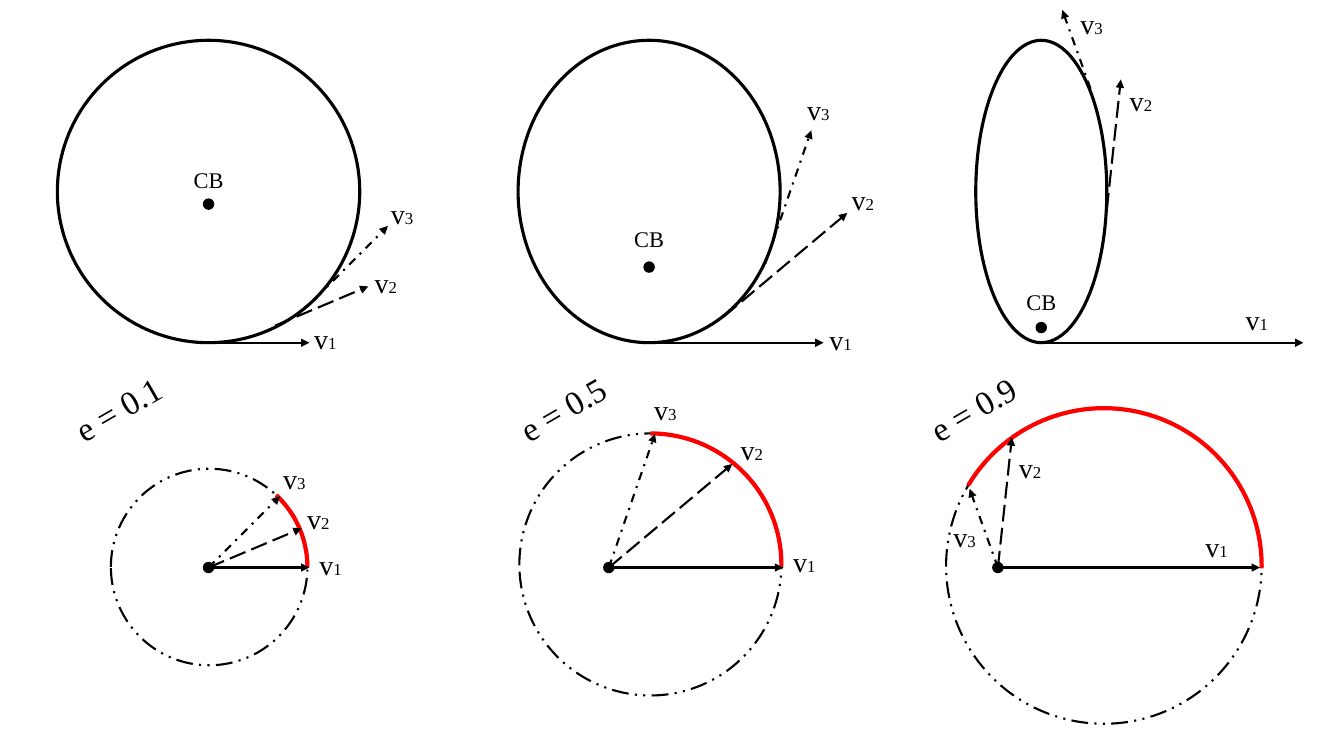
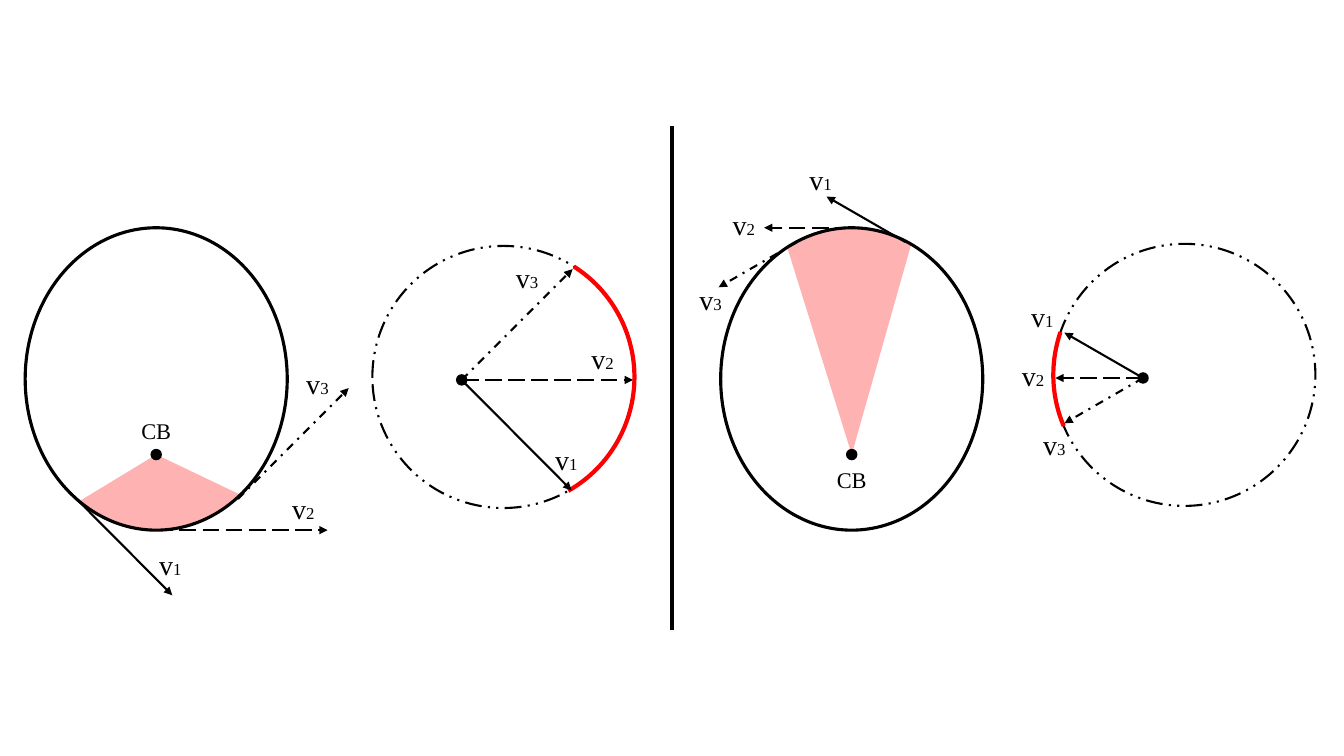
import math
from dataclasses import dataclass
from typing import Optional

from lxml import etree
from pptx import Presentation
from pptx.dml import color
from pptx.enum import dml, shapes, text
from pptx.oxml import ns
from pptx.util import Pt

FONT = "Times New Roman"
BLACK, RED = "000000", "FF0000"
THIN, ORBIT_WIDTH, ARC_WIDTH = 1.5, 2.25, 3
ORBIT_HEIGHT = 216
DOT_SIZE = 7.2
VECTOR_DASHES = (None, dml.MSO_LINE.LONG_DASH, dml.MSO_LINE.DASH_DOT)


@dataclass
class Vector:
    shift: tuple
    tail: tuple
    orbit_label: tuple
    hodograph_label: tuple


@dataclass
class Study:
    orbit_center: tuple
    orbit_width: float
    focus_drop: float
    body_label_shift: float
    circle_center: tuple
    circle_size: float
    arc_angles: tuple
    origin: tuple
    vectors: tuple
    sector_angles: Optional[tuple] = None


ECCENTRICITIES = (
    Study((149, 136.8), 216, 9, -30.6, (149.4, 405), 140.4, (312.97, 0), (149, 405.4), (
        Vector((72, 0), (149, 244.8), (217.4, 226.1), (221, 387.4)),
        Vector((66.5, -28), (196.6, 232.6), (260.6, 185.8), (212.4, 355)),
        Vector((51, -51), (226.1, 212.4), (272.2, 136.8), (195.1, 326.2)))),
    Study((463.7, 136.8), 187.2, 54, -33.8, (464.6, 403.2), 187.2, (270, 1.34), (434.9, 405.4), (
        Vector((124.6, 0), (463.7, 244.8), (585.4, 226.8), (559.4, 385.2)),
        Vector((88.2, -74), (517, 226.1), (601.2, 126.7), (522, 305.3)),
        Vector((33, -95.5), (546.5, 188.6), (569.5, 62.6), (460.1, 276.5)))),
    Study((743.8, 136.8), 93.6, 97.2, -31.7, (788.5, 404.3), 225.4, (210.67, 0.86), (712.8, 405.4), (
        Vector((187.2, 0), (743.8, 244.8), (882.7, 212.4), (853.9, 374.4)),
        Vector((10, -93), (790.6, 149.8), (799.9, 56.2), (720.7, 318.2)),
        Vector((-20.2, -56.2), (779, 63.4), (764.6, 1.4), (673.9, 367.2)))),
)
CAPTIONS = (("e = 0.1", 84.2), ("e = 0.5", 401.8), ("e = 0.9", 694.8))

SECTORS = (
    Study((111.6, 270.7), 187.2, 54, -30.2, (359.6, 269.3), 187.2, (302.5, 60.34), (329.8, 271.4), (
        Vector((78.5, 78.9), (44.6, 346.3), (106.6, 387.4), (389.5, 312.5)),
        Vector((122.4, 0), (111.6, 378.7), (201.6, 347.8), (415.4, 240.5)),
        Vector((79.2, -79.2), (169.9, 356.4), (211.7, 258.5), (361.4, 182.2))), (50, 126)),
    Study((608.4, 270.7), 187.2, 54, 5, (846, 267.8), 187.2, (156.97, 199.03), (816.5, 270), (
        Vector((-56.2, -32.4), (646.6, 172.8), (571, 112.3), (729.4, 210.2)),
        Vector((-62.6, 0), (608.4, 162.7), (516.2, 144.7), (722.9, 252.7)),
        Vector((-56.2, 32.4), (569.5, 172.8), (492.5, 198), (738, 301.7))), (240.5, 297)),
)


def rgb(value):
    return color.RGBColor.from_string(value)


def style_line(line, tint, width, dash=None):
    line.color.rgb = rgb(tint)
    line.width = Pt(width)
    if dash is not None:
        line.dash_style = dash


def add_round(page, center, width, height, line_width, tint=BLACK, dash=None,
              kind=shapes.MSO_SHAPE.OVAL, filled=False):
    x, y = center
    shape = page.shapes.add_shape(kind, Pt(x - width / 2), Pt(y - height / 2), Pt(width), Pt(height))
    shape.shadow.inherit = False
    if filled:
        shape.fill.solid()
        shape.fill.fore_color.rgb = rgb(tint)
    else:
        shape.fill.background()
    style_line(shape.line, tint, line_width, dash)
    return shape


def add_dot(page, center):
    add_round(page, center, DOT_SIZE, DOT_SIZE, 1, filled=True)


def add_arc(page, center, size, angles):
    arc = add_round(page, center, size, size, ARC_WIDTH, RED, kind=shapes.MSO_SHAPE.ARC)
    for index, angle in enumerate(angles):
        arc.adjustments[index] = angle * 0.6


def add_line(page, start, end, width, dash=None, arrow=False):
    line = page.shapes.add_connector(
        shapes.MSO_CONNECTOR.STRAIGHT, *(Pt(value) for value in (*start, *end)))
    style_line(line.line, BLACK, width, dash)
    properties = line._element.spPr
    if arrow:
        etree.SubElement(properties.find(ns.qn("a:ln")), ns.qn("a:tailEnd"), type="triangle")
    etree.SubElement(properties, ns.qn("a:effectLst"))


def add_text(page, left, top, width, height, spans, centered=False, rotation=0):
    box = page.shapes.add_textbox(Pt(left), Pt(top), Pt(width), Pt(height))
    box.rotation = rotation
    frame = box.text_frame
    frame.word_wrap = True
    frame.auto_size = text.MSO_AUTO_SIZE.SHAPE_TO_FIT_TEXT
    para = frame.paragraphs[0]
    para.font.name = FONT
    para.font.color.rgb = rgb(BLACK)
    if centered:
        para.alignment = text.PP_ALIGN.CENTER
    for words, size in spans:
        span = para.add_run()
        span.text = words
        span.font.size = Pt(size)


def add_vector(page, number, tail, shift, label):
    head = (tail[0] + shift[0], tail[1] + shift[1])
    add_line(page, tail, head, THIN, VECTOR_DASHES[number - 1], arrow=True)
    add_text(page, *label, 72, 31.5, (("v", 20), (str(number), 12)))


def add_sector(page, focus, center, width, angles):
    first, last = angles
    steps = 24
    rim = []
    for step in range(steps + 1):
        angle = math.radians(first + (last - first) * step / steps)
        rim.append((Pt(center[0] + width / 2 * math.cos(angle)),
                    Pt(center[1] + ORBIT_HEIGHT / 2 * math.sin(angle))))
    builder = page.shapes.build_freeform(Pt(focus[0]), Pt(focus[1]))
    builder.add_line_segments(rim, close=True)
    sector = builder.convert_to_shape()
    sector.shadow.inherit = False
    sector.line.fill.background()
    sector.fill.solid()
    sector.fill.fore_color.rgb = rgb(RED)
    tint = sector._element.spPr.find(ns.qn("a:solidFill"))[0]
    etree.SubElement(tint, ns.qn("a:alpha"), val="30000")


def add_orbit(page, study):
    x, y = study.orbit_center
    focus = (x, y + study.focus_drop)
    if study.sector_angles:
        add_sector(page, focus, study.orbit_center, study.orbit_width, study.sector_angles)
    add_round(page, study.orbit_center, study.orbit_width, ORBIT_HEIGHT, ORBIT_WIDTH)
    add_dot(page, focus)
    add_text(page, x - 40, focus[1] + study.body_label_shift, 80, 26.6, (("CB", 16),), centered=True)
    for number, vector in enumerate(study.vectors, 1):
        add_vector(page, number, vector.tail, vector.shift, vector.orbit_label)


def add_hodograph(page, study):
    add_round(page, study.circle_center, study.circle_size, study.circle_size, THIN,
              dash=dml.MSO_LINE.DASH_DOT_DOT)
    add_arc(page, study.circle_center, study.circle_size, study.arc_angles)
    add_dot(page, study.origin)
    for number, vector in enumerate(study.vectors, 1):
        add_vector(page, number, study.origin, vector.shift, vector.hodograph_label)


def add_page(deck, studies):
    page = deck.slides.add_slide(deck.slide_layouts[6])
    for study in studies:
        add_orbit(page, study)
        add_hodograph(page, study)
    return page


def main():
    deck = Presentation()
    deck.slide_width, deck.slide_height = Pt(960), Pt(540)
    page = add_page(deck, ECCENTRICITIES)
    for words, x in CAPTIONS:
        add_text(page, x - 79.2, 273.6, 158.4, 36, ((words, 24),), centered=True, rotation=330)
    page = add_page(deck, SECTORS)
    add_line(page, (480, 90), (480, 450), ORBIT_WIDTH)
    deck.save("out.pptx")


if __name__ == "__main__":
    main()
